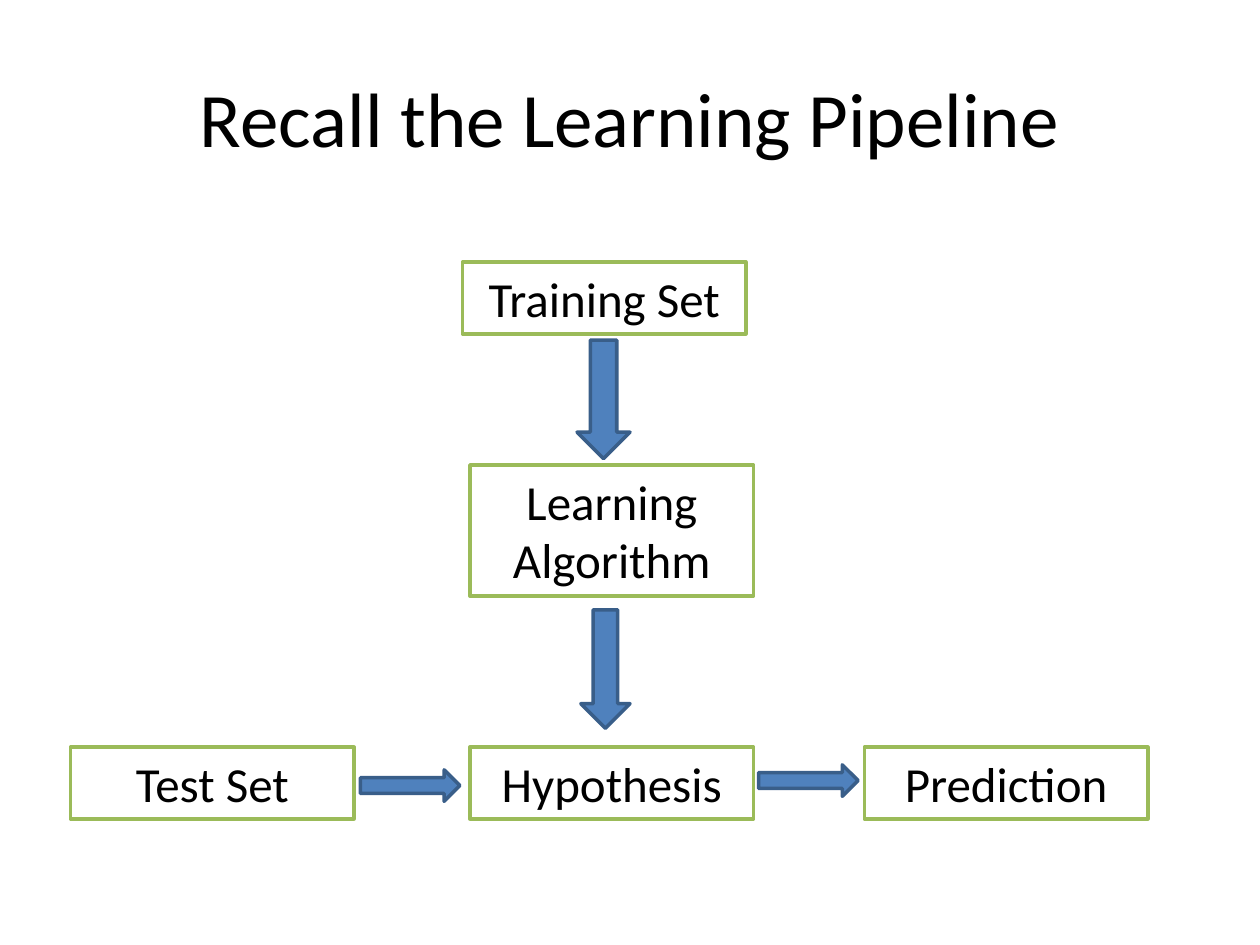
"""Draw a learning pipeline slide with boxes and block arrows."""
from pptx import Presentation
from pptx.dml.color import RGBColor
from pptx.enum.shapes import MSO_SHAPE as Shape
from pptx.enum.text import MSO_ANCHOR as Anchor, MSO_AUTO_SIZE as Fit, PP_ALIGN as Align
from pptx.util import Inches, Pt

COLORS = {
    "text": "000000",
    "box": "FFFFFF",
    "edge": "9BBB59",
    "arrow": "4F81BD",
    "rim": "395E89",
}
BOX_W, BOX_H, TALL_H = 2.25, 0.57, 1.04
MID_X, ROW_Y = 3.73, 5.93
DOWN_H, RIGHT_W, RIGHT_H = 0.94, 0.79, 0.25


def color(name):
    return RGBColor.from_string(COLORS[name])


def write(shape, text, size=28, anchor=Anchor.TOP, fit=Fit.NONE):
    frame = shape.text_frame
    frame.word_wrap = True
    frame.auto_size = fit
    frame.vertical_anchor = anchor
    para = frame.paragraphs[0]
    para.alignment = Align.CENTER
    run = para.add_run()
    run.text = text
    run.font.name = "Calibri"
    run.font.size = Pt(size)
    run.font.color.rgb = color("text")


def add_title(slide, text):
    box = slide.shapes.add_textbox(Inches(0.5), Inches(0.3), Inches(9), Inches(1.25))
    write(box, text, size=44, anchor=Anchor.MIDDLE)


def add_block(slide, kind, x, y, w, h, fill, line):
    shape = slide.shapes.add_shape(kind, Inches(x), Inches(y), Inches(w), Inches(h))
    shape.shadow.inherit = False
    shape.fill.solid()
    shape.fill.fore_color.rgb = color(fill)
    shape.line.color.rgb = color(line)
    shape.line.width = Pt(2)
    return shape


def add_box(slide, text, x, y, h=BOX_H):
    box = add_block(slide, Shape.RECTANGLE, x, y, BOX_W, h, "box", "edge")
    write(box, text, fit=Fit.SHAPE_TO_FIT_TEXT)


def add_arrow(slide, kind, x, y, w, h):
    add_block(slide, kind, x, y, w, h, "arrow", "rim")


def main():
    deck = Presentation()
    deck.slide_width, deck.slide_height = Inches(10), Inches(7.5)
    slide = deck.slides.add_slide(deck.slide_layouts[6])
    add_title(slide, "Recall the Learning Pipeline")

    add_box(slide, "Training Set", 3.67, 2.08)
    add_box(slide, "Learning Algorithm", MID_X, 3.69, TALL_H)
    for text, x in (("Hypothesis", MID_X), ("Test Set", 0.56), ("Prediction", 6.86)):
        add_box(slide, text, x, ROW_Y)

    for x, y, w in ((4.58, 2.7, 0.42), (4.61, 4.84, 0.39)):
        add_arrow(slide, Shape.DOWN_ARROW, x, y, w, DOWN_H)
    for x, y in ((2.86, 6.11), (6.02, 6.07)):
        add_arrow(slide, Shape.RIGHT_ARROW, x, y, RIGHT_W, RIGHT_H)

    deck.save("out.pptx")


if __name__ == "__main__":
    main()
